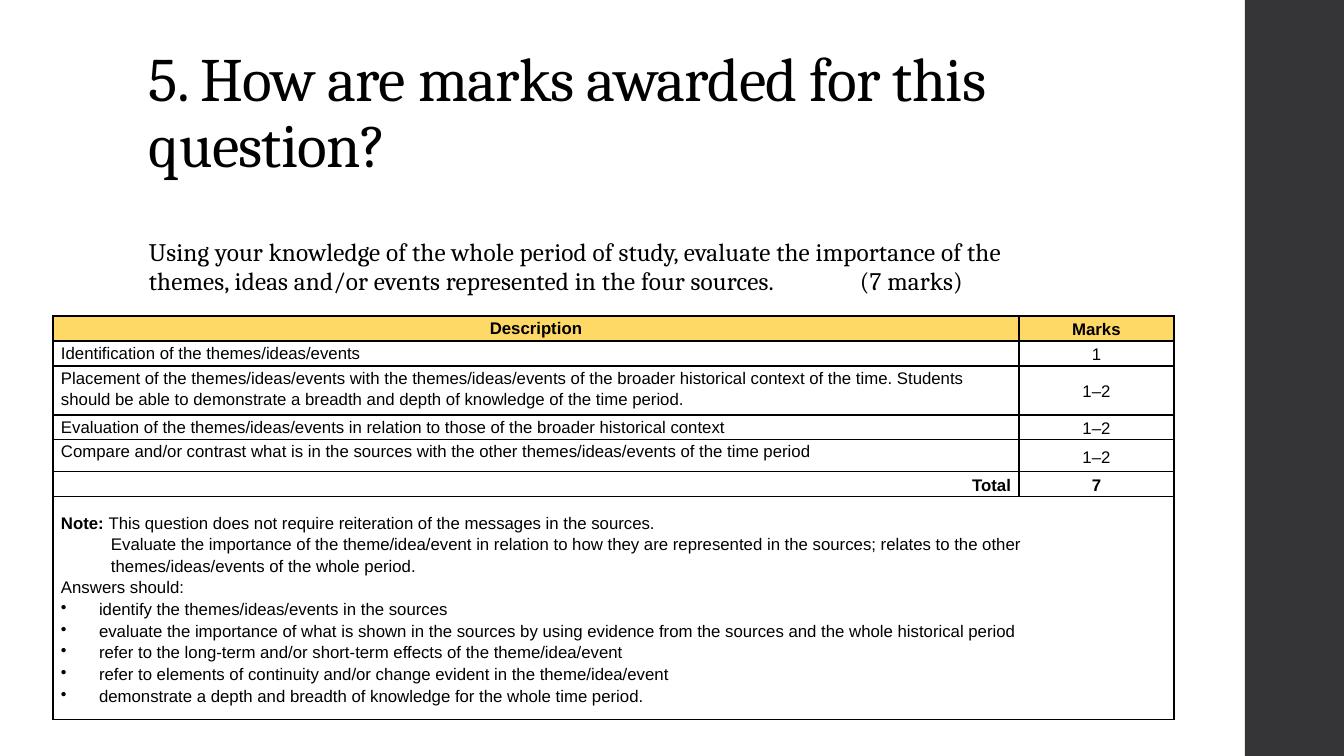
from lxml import etree
from pptx import Presentation
from pptx import util as u
from pptx.dml.color import RGBColor
from pptx.enum import shapes, text
from pptx.oxml.ns import qn

PX = 914400 / 100.8
COLORS = {"ink": "000000", "side": "353537", "header": "FFD966"}
LEFT, CENTER, RIGHT = text.PP_ALIGN.LEFT, text.PP_ALIGN.CENTER, text.PP_ALIGN.RIGHT
TOP, MIDDLE, BOTTOM = text.MSO_ANCHOR.TOP, text.MSO_ANCHOR.MIDDLE, text.MSO_ANCHOR.BOTTOM

CRITERIA = [
    ("Description", "Marks"),
    ("Identification of the themes/ideas/events", "1"),
    ("Placement of the themes/ideas/events with the themes/ideas/events of the broader "
     "historical context of the time. Students should be able to demonstrate a breadth "
     "and depth of knowledge of the time period.", "1–2"),
    ("Evaluation of the themes/ideas/events in relation to those of the broader "
     "historical context", "1–2"),
    ("Compare and/or contrast what is in the sources with the other themes/ideas/events "
     "of the time period", "1–2"),
    ("Total", "7"),
]
NOTE = ("Note: ", "This question does not require reiteration of the messages in the sources.")
GUIDANCE = ("Evaluate the importance of the theme/idea/event in relation to how they are "
            "represented in the sources; relates to the other themes/ideas/events of the "
            "whole period.")
ANSWERS = [
    "identify the themes/ideas/events in the sources",
    "evaluate the importance of what is shown in the sources by using evidence from the "
    "sources and the whole historical period",
    "refer to the long-term and/or short-term effects of the theme/idea/event",
    "refer to elements of continuity and/or change evident in the theme/idea/event",
    "demonstrate a depth and breadth of knowledge for the whole time period.",
]


def px(n):
    return u.Emu(round(n * PX))


def rgb(name):
    return RGBColor.from_string(COLORS[name])


def style(r, font, size, bold=False):
    r.font.name, r.font.size, r.font.bold = font, u.Pt(size), bold
    r.font.color.rgb = rgb("ink")


def add_side_bar(s, x, y, w, h):
    sp = s.shapes.add_shape(shapes.MSO_SHAPE.RECTANGLE, px(x), px(y), px(w), px(h))
    sp.shadow.inherit = False
    sp.fill.solid()
    sp.fill.fore_color.rgb = rgb("side")
    sp.line.fill.background()


def add_text(s, x, y, w, h, words, size, spacing, tracking, anchor=TOP, tab=None):
    tf = s.shapes.add_textbox(px(x), px(y), px(w), px(h)).text_frame
    tf.word_wrap = True
    tf.vertical_anchor = anchor
    tf.text = words
    p = tf.paragraphs[0]
    p.line_spacing = spacing
    if tab:
        tabs = etree.SubElement(p._p.get_or_add_pPr(), qn("a:tabLst"))
        etree.SubElement(tabs, qn("a:tab"), pos=str(px(tab)), algn="l")
    for r in p.runs:
        style(r, "Cambria", size)
        r._r.get_or_add_rPr().set("spc", str(tracking))


def add_borders(cell):
    tc_pr = cell._tc.get_or_add_tcPr()
    for i, side in enumerate(("lnL", "lnR", "lnT", "lnB")):
        ln = etree.Element(qn(f"a:{side}"), w=str(u.Pt(1)))
        fill = etree.SubElement(ln, qn("a:solidFill"))
        etree.SubElement(fill, qn("a:srgbClr"), val=COLORS["ink"])
        tc_pr.insert(i, ln)


def format_cell(cell, anchor):
    cell.margin_left = cell.margin_right = px(8)
    cell.margin_top = cell.margin_bottom = 0
    cell.vertical_anchor = anchor
    cell.fill.background()
    add_borders(cell)


def fill_paragraph(p, words, align=LEFT, bold=False):
    p.text = words
    p.alignment = align
    p.line_spacing = 1.15
    for r in p.runs:
        style(r, "Arial", 12, bold)


def indent(p, left, hanging=0, bullet=None):
    p_pr = p._p.get_or_add_pPr()
    p_pr.set("marL", str(px(left)))
    p_pr.set("indent", str(px(-hanging)))
    if bullet:
        etree.SubElement(p_pr, qn("a:buChar"), char=bullet)


def fill_notes(tf):
    p = tf.paragraphs[0]
    fill_paragraph(p, NOTE[0], bold=True)
    r = p.add_run()
    r.text = NOTE[1]
    style(r, "Arial", 12)
    p = tf.add_paragraph()
    fill_paragraph(p, GUIDANCE)
    indent(p, 50)
    fill_paragraph(tf.add_paragraph(), "Answers should:")
    for answer in ANSWERS:
        p = tf.add_paragraph()
        fill_paragraph(p, answer)
        indent(p, 38, 38, "•")


def add_marking_table(s, x, y, cols, rows):
    tbl = s.shapes.add_table(len(rows), len(cols), px(x), px(y),
                             px(sum(cols)), px(sum(rows))).table
    tbl.first_row = tbl.horz_banding = False
    for col, w in zip(tbl.columns, cols):
        col.width = px(w)
    for row, h in zip(tbl.rows, rows):
        row.height = px(h)
    last = len(CRITERIA) - 1
    for i, (description, marks) in enumerate(CRITERIA):
        bold = i in (0, last)
        align = {0: CENTER, last: RIGHT}.get(i, LEFT)
        left, right = tbl.cell(i, 0), tbl.cell(i, 1)
        format_cell(left, MIDDLE if i == last else TOP)
        format_cell(right, MIDDLE)
        fill_paragraph(left.text_frame.paragraphs[0], description, align, bold)
        fill_paragraph(right.text_frame.paragraphs[0], marks, CENTER, bold)
    for cell in tbl.rows[0].cells:
        cell.fill.solid()
        cell.fill.fore_color.rgb = rgb("header")
    notes, spanned = tbl.rows[len(CRITERIA)].cells
    notes.merge(spanned)
    for cell in (notes, spanned):
        format_cell(cell, MIDDLE)
    fill_notes(notes.text_frame)


def main():
    prs = Presentation()
    prs.slide_width, prs.slide_height = px(1344), px(756)
    s = prs.slides.add_slide(prs.slide_layouts[6])
    add_side_bar(s, 1245, 0, 99, 756)
    add_text(s, 139, 40, 1068, 146, "5. How are marks awarded for this question?",
             44, 0.9, -50, BOTTOM)
    add_text(s, 139, 234, 948, 448,
             "Using your knowledge of the whole period of study, evaluate the importance of "
             "the themes, ideas and/or events represented in the four sources.\t(7 marks)",
             18, 0.95, 10, tab=711)
    add_marking_table(s, 53, 316, (966, 155), (25, 25, 49, 25, 32, 25, 223))
    prs.save("out.pptx")


if __name__ == "__main__":
    main()
